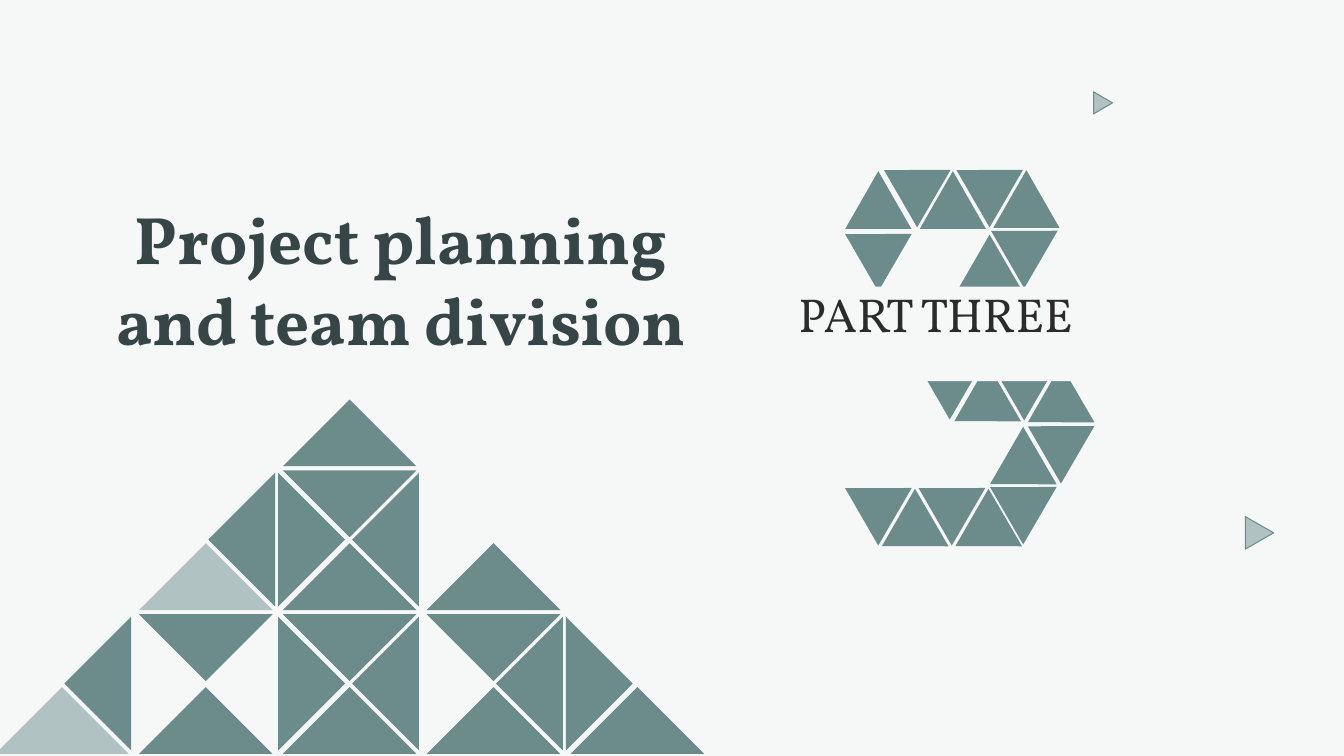
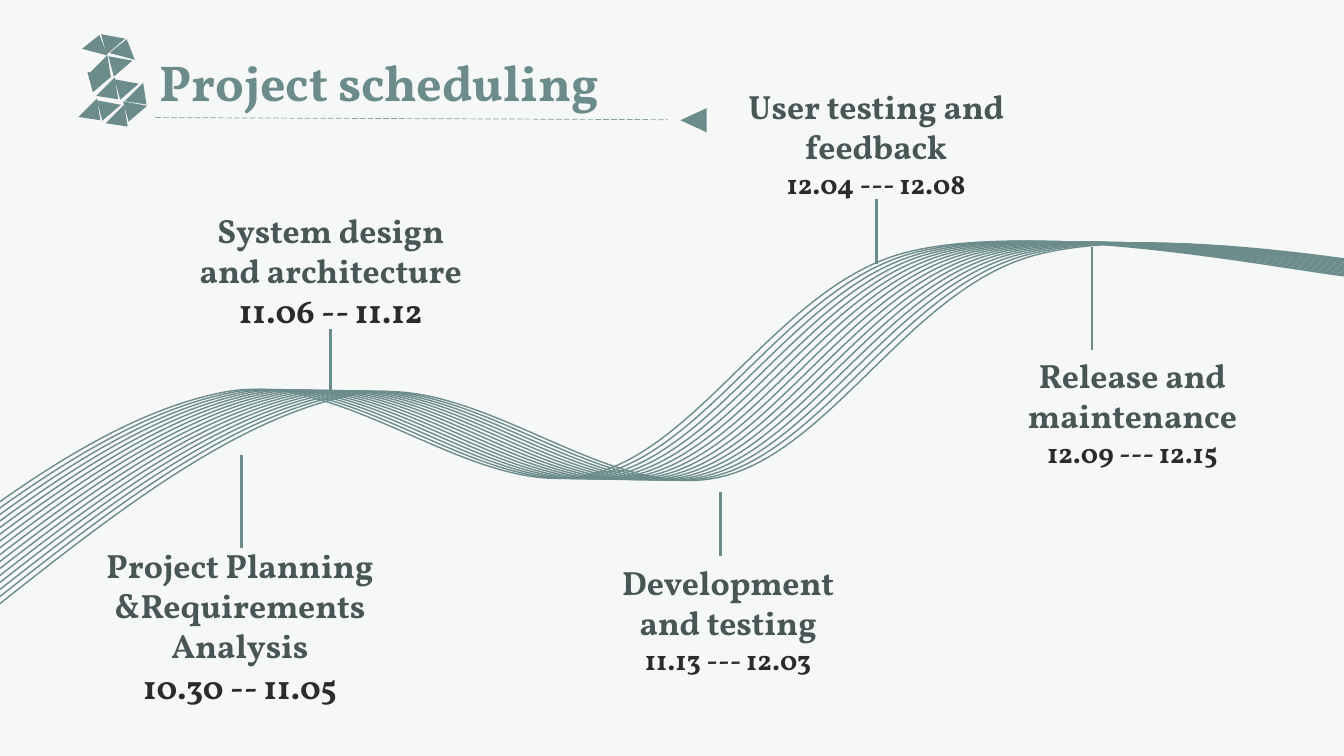
import dataclasses
import typing

import lxml.etree
import pptx
import pptx.dml.color
import pptx.enum.dml
import pptx.enum.shapes
import pptx.enum.text
import pptx.oxml.ns
import pptx.slide
import pptx.text.text
import pptx.util

PX = 9525
FONT = "Vollkorn"
COLORS = {
    "paper": "F6F8F8",
    "sage": "6C8B8B",
    "pale": "B1C2C2",
    "heading": "364545",
    "label": "495656",
    "ink": "2B2B2B",
}
SHAPES = pptx.enum.shapes.MSO_SHAPE


class Box(typing.NamedTuple):
    left: int
    top: int
    width: int
    height: int


class Tile(typing.NamedTuple):
    left: int
    top: int
    rotation: int


class Point(typing.NamedTuple):
    x: int
    y: int


@dataclasses.dataclass(frozen=True)
class Milestone:
    label: str
    dates: str
    date_size: int
    box: Box
    stem: tuple[Point, Point]


DIGIT_SIZE = (63, 55)
DIGIT_TILES = [
    Tile(805, 163, 0), Tile(850, 148, 60), Tile(876, 163, 0),
    Tile(919, 148, 60), Tile(946, 162, 0), Tile(813, 209, 60),
    Tile(919, 237, 120), Tile(952, 206, 60), Tile(881, 331, 60),
    Tile(917, 360, 120), Tile(952, 332, 60), Tile(987, 361, 120),
    Tile(951, 420, 120), Tile(987, 392, 60), Tile(813, 451, 60),
    Tile(848, 479, 120), Tile(883, 451, 60), Tile(918, 479, 120),
    Tile(951, 450, 60),
]

EMBLEM_SIZES = {15: (25, 17), 75: (20, 21), 135: (25, 17)}
EMBLEM_TILES = [
    Tile(80, 33, 15), Tile(99, 29, 75), Tile(106, 37, 15),
    Tile(106, 50, 75), Tile(87, 59, 135), Tile(86, 65, 75),
    Tile(120, 93, 75), Tile(94, 80, 135), Tile(112, 72, 75),
    Tile(121, 85, 135), Tile(103, 106, 135), Tile(95, 92, 75),
    Tile(77, 100, 135),
]

MOUNTAIN_ORIGIN = Point(14, 673)
MOUNTAIN_PITCH = 137
MOUNTAIN_SIDE = 90
MOUNTAIN_FACES = {
    "U": Tile(0, 0, 135),
    "D": Tile(0, -133, 315),
    "R": Tile(66, -67, 45),
    "L": Tile(-68, -67, 225),
}
MOUNTAIN_ROWS = [
    ["uR", "UD", "UDLR", "UDR", "UL"],
    ["", "uR", "UDLR", "U"],
    ["", "", "U"],
]

WAVE_COUNT = 16
WAVE_DRIFT = Point(-125, -2)
WAVE_POINTS = [
    Point(-4, 578), Point(111, 487), Point(227, 396), Point(341, 375),
    Point(456, 355), Point(575, 477), Point(683, 455),
    Point(790, 433), Point(866, 275), Point(986, 243),
    Point(1107, 211), Point(1333, 256), Point(1407, 265),
]

MILESTONES = [
    Milestone("Project Planning &Requirements Analysis", "10.30 -- 11.05", 24,
              Box(63, 514, 331, 165), (Point(230, 433), Point(230, 522))),
    Milestone("System design and architecture", "11.06 -- 11.12", 24,
              Box(167, 195, 296, 126), (Point(315, 313), Point(315, 373))),
    Milestone("Development and testing", "11.13 --- 12.03", 20,
              Box(574, 530, 239, 120), (Point(686, 469), Point(686, 530))),
    Milestone("User testing and feedback", "12.04 --- 12.08", 20,
              Box(700, 77, 269, 120), (Point(835, 190), Point(835, 251))),
    Milestone("Release and maintenance", "12.09 --- 12.15", 20,
              Box(965, 333, 227, 120), (Point(1040, 235), Point(1040, 333))),
]


def px(length: float) -> pptx.util.Emu:
    return pptx.util.Emu(round(length * PX))


def rgb(color: str) -> pptx.dml.color.RGBColor:
    return pptx.dml.color.RGBColor.from_string(COLORS[color])


def add_tile(slide: pptx.slide.Slide, kind: SHAPES, box: Box, *, fill: str = "sage",
             rotation: int = 0, outline: str | None = None):
    tile = slide.shapes.add_shape(kind, *map(px, box))
    tile.shadow.inherit = False
    tile.rotation = rotation
    tile.fill.solid()
    tile.fill.fore_color.rgb = rgb(fill)
    if outline:
        tile.line.color.rgb = rgb(outline)
        tile.line.width = pptx.util.Pt(0.75)
    else:
        tile.line.fill.background()
    return tile


def add_paragraph(frame: pptx.text.text.TextFrame, text: str, *, size: int, color: str,
                  bold: bool = True, spacing: float = 1.0) -> None:
    first = frame.paragraphs[0]
    paragraph = frame.add_paragraph() if first.runs else first
    paragraph.alignment = pptx.enum.text.PP_ALIGN.CENTER
    paragraph.line_spacing = spacing
    run = paragraph.add_run()
    run.text = text
    run.font.name = FONT
    run.font.size = pptx.util.Pt(size)
    run.font.bold = bold
    run.font.color.rgb = rgb(color)


def prepare_frame(frame: pptx.text.text.TextFrame, *, wrap: bool = True) -> None:
    frame.auto_size = pptx.enum.text.MSO_AUTO_SIZE.NONE
    frame.vertical_anchor = pptx.enum.text.MSO_ANCHOR.TOP
    frame.word_wrap = wrap


def set_title(slide: pptx.slide.Slide, lines: list[str], box: Box, *,
              size: int, color: str) -> None:
    title = slide.shapes.title
    title.left, title.top, title.width, title.height = map(px, box)
    prepare_frame(title.text_frame, wrap=False)
    for line in lines:
        add_paragraph(title.text_frame, line, size=size, color=color)


def add_rule(slide: pptx.slide.Slide, start: Point, end: Point, *, width: float,
             dash: pptx.enum.dml.MSO_LINE | None = None, opacity: int = 100) -> None:
    rule = slide.shapes.add_connector(pptx.enum.shapes.MSO_CONNECTOR.STRAIGHT,
                                      *map(px, start + end))
    rule.line.color.rgb = rgb("sage")
    rule.line.width = pptx.util.Pt(width)
    if dash is not None:
        rule.line.dash_style = dash
    qn = pptx.oxml.ns.qn
    properties = rule._element.spPr
    if opacity < 100:
        tint = properties.find(".//" + qn("a:srgbClr"))
        lxml.etree.SubElement(tint, qn("a:alpha")).set("val", str(opacity * 1000))
    lxml.etree.SubElement(properties, qn("a:effectLst"))


def add_mountain(slide: pptx.slide.Slide) -> None:
    for row, cells in enumerate(MOUNTAIN_ROWS):
        for column, faces in enumerate(cells):
            for face in faces:
                offset = MOUNTAIN_FACES[face.upper()]
                left = MOUNTAIN_ORIGIN.x + column * MOUNTAIN_PITCH + offset.left
                top = MOUNTAIN_ORIGIN.y - row * MOUNTAIN_PITCH + offset.top
                add_tile(slide, SHAPES.RIGHT_TRIANGLE,
                         Box(left, top, MOUNTAIN_SIDE, MOUNTAIN_SIDE),
                         fill="pale" if face.islower() else "sage",
                         rotation=offset.rotation)


def add_curve(slide: pptx.slide.Slide, controls: list[tuple[int, int]]):
    builder = slide.shapes.build_freeform(*controls[0])
    builder.add_line_segments(controls[1:], close=False)
    curve = builder.convert_to_shape()
    qn = pptx.oxml.ns.qn
    segments = list(curve._element.iter(qn("a:lnTo")))
    for start in range(0, len(segments), 3):
        bend = lxml.etree.Element(qn("a:cubicBezTo"))
        segments[start].addprevious(bend)
        for segment in segments[start:start + 3]:
            bend.append(segment[0])
            segment.getparent().remove(segment)
    return curve


def add_wave(slide: pptx.slide.Slide) -> None:
    for index in range(WAVE_COUNT):
        share = index / (WAVE_COUNT - 1)
        strand = add_curve(slide, [
            (px(point.x + share * WAVE_DRIFT.x), px(point.y + share * WAVE_DRIFT.y))
            for point in WAVE_POINTS
        ])
        strand.shadow.inherit = False
        strand.fill.background()
        strand.line.color.rgb = rgb("sage")
        strand.line.width = pptx.util.Pt(1)


def add_milestone(slide: pptx.slide.Slide, milestone: Milestone) -> None:
    frame = slide.shapes.add_textbox(*map(px, milestone.box)).text_frame
    prepare_frame(frame)
    add_paragraph(frame, milestone.label, size=24, color="label")
    add_paragraph(frame, milestone.dates, size=milestone.date_size, color="ink")
    add_rule(slide, *milestone.stem, width=2)


def build_section(slide: pptx.slide.Slide) -> None:
    set_title(slide, ["Project planning", "and team division"], Box(99, 183, 566, 210),
              size=48, color="heading")
    for tile in DIGIT_TILES:
        add_tile(slide, SHAPES.ISOSCELES_TRIANGLE, Box(tile.left, tile.top, *DIGIT_SIZE),
                 rotation=tile.rotation)
    for accent in (Box(1184, 494, 31, 27), Box(1040, 89, 21, 18)):
        add_tile(slide, SHAPES.ISOSCELES_TRIANGLE, accent, fill="pale", rotation=90,
                 outline="sage")
    part = add_tile(slide, SHAPES.RECTANGLE, Box(737, 273, 308, 90), fill="paper")
    prepare_frame(part.text_frame)
    add_paragraph(part.text_frame, "PART THREE", size=34, color="ink", bold=False,
                  spacing=0.9)
    add_mountain(slide)


def build_schedule(slide: pptx.slide.Slide) -> None:
    set_title(slide, ["Project scheduling"], Box(87, 44, 549, 68), size=36, color="sage")
    add_rule(slide, Point(148, 112), Point(636, 114), width=0.5,
             dash=pptx.enum.dml.MSO_LINE.LONG_DASH, opacity=80)
    add_tile(slide, SHAPES.ISOSCELES_TRIANGLE, Box(649, 102, 23, 25), rotation=270)
    for tile in EMBLEM_TILES:
        add_tile(slide, SHAPES.ISOSCELES_TRIANGLE,
                 Box(tile.left, tile.top, *EMBLEM_SIZES[tile.rotation]),
                 rotation=tile.rotation)
    add_wave(slide)
    for milestone in MILESTONES:
        add_milestone(slide, milestone)


def main() -> None:
    deck = pptx.Presentation()
    deck.slide_width, deck.slide_height = px(1280), px(720)
    backdrop = deck.slide_master.background.fill
    backdrop.solid()
    backdrop.fore_color.rgb = rgb("paper")
    title_only = deck.slide_layouts.get_by_name("Title Only")
    for build in (build_section, build_schedule):
        build(deck.slides.add_slide(title_only))
    deck.save("out.pptx")


if __name__ == "__main__":
    main()
